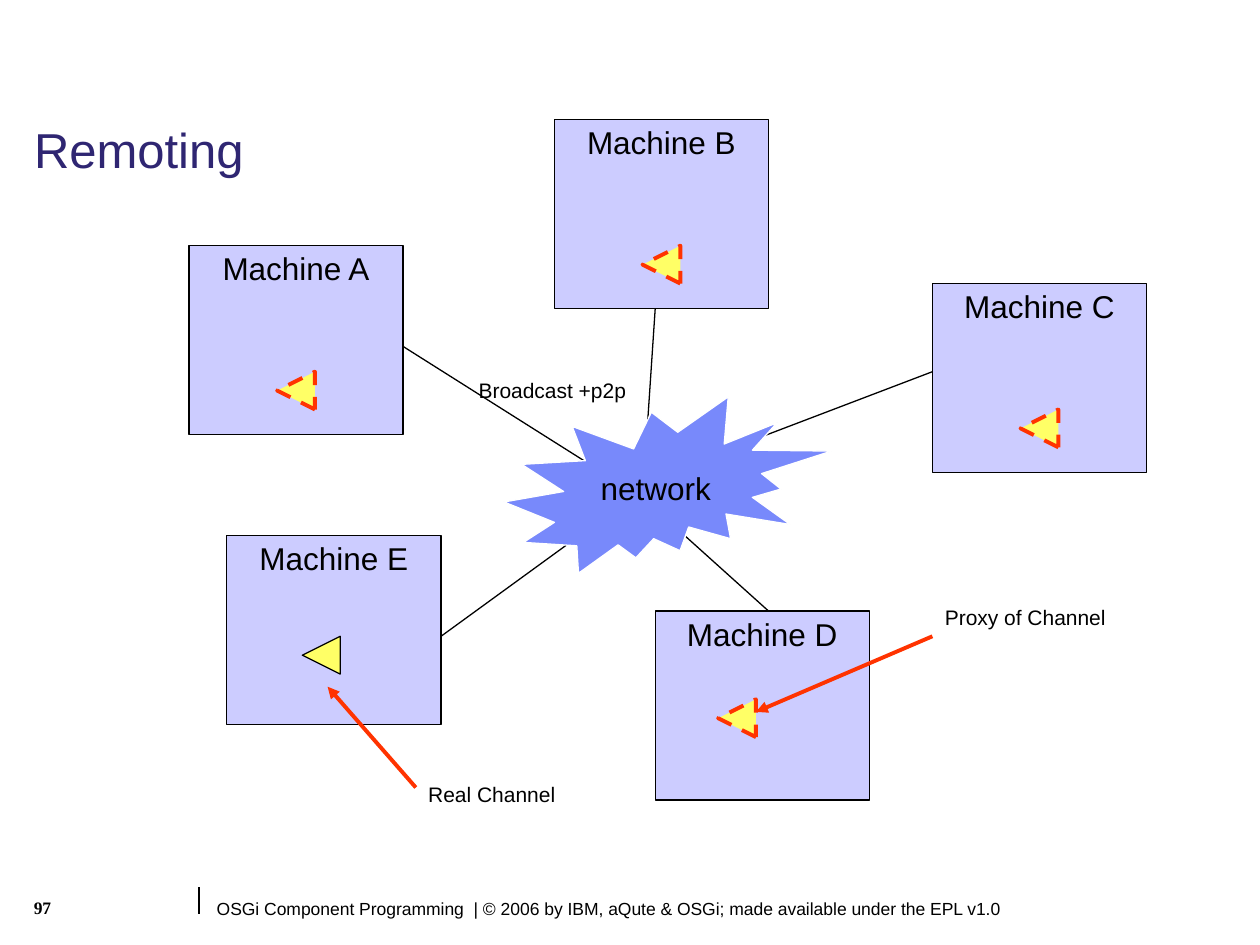
"""Build the Remoting slide: five machines joined by a network, with channel proxies."""
from pptx import Presentation, util as u
from pptx.dml.color import RGBColor
from pptx.enum import dml, shapes, text
from pptx.oxml.ns import qn
from lxml import etree

CELL = 0.1
ROW_START = 0.05


def grid(col, row):
    return u.Inches(CELL * col), u.Inches(ROW_START + CELL * row)


def write(frame, words, size, color="000000", font="Arial", align=text.PP_ALIGN.LEFT):
    frame.text = words
    paragraph = frame.paragraphs[0]
    paragraph.alignment = align
    paragraph.font.size = u.Pt(size)
    paragraph.font.name = font
    paragraph.font.color.rgb = RGBColor.from_string(color)
    return paragraph


deck = Presentation()
deck.slide_width, deck.slide_height = u.Inches(10), u.Inches(7.5)
slide = deck.slides.add_slide(deck.slide_layouts[5])
parts = slide.shapes

title = parts.title
title.left, title.top = u.Inches(0.17), u.Inches(0.95)
title.width, title.height = u.Inches(9.02), u.Inches(0.55)
title.text_frame.auto_size = text.MSO_AUTO_SIZE.NONE
title.text_frame.vertical_anchor = text.MSO_ANCHOR.TOP
write(title.text_frame, "Remoting", 28, "2F2672").line_spacing = 0.9

machines = [("A", 15, 19), ("B", 44, 9), ("E", 18, 42), ("D", 52, 48), ("C", 74, 22)]
real_channel = (24, 50)
proxies = [(51, 19), (81, 32), (22, 29), (57, 55)]
links = [((35, 50), (46, 42)), ((61, 48), (51, 39)), ((53, 37), (74, 29)),
         ((52, 24), (51, 39)), ((32, 27), (51, 39))]
pointers = [((33, 62), (26, 54)), ((74, 50), (60, 56))]

outlined = []
for letter, col, row in machines:
    machine = parts.add_shape(shapes.MSO_SHAPE.RECTANGLE, *grid(col, row), u.Inches(1.7), u.Inches(1.5))
    frame = machine.text_frame
    frame.word_wrap = False
    frame.vertical_anchor = text.MSO_ANCHOR.TOP
    frame.margin_top = u.Inches(0.03)
    write(frame, f"Machine {letter}", 18, align=text.PP_ALIGN.CENTER)
    outlined.append((machine, "CCCCFF", "000000", 0.75))

for place in [real_channel] + proxies:
    channel = parts.add_shape(shapes.MSO_SHAPE.ISOSCELES_TRIANGLE, *grid(*place), u.Inches(0.3), u.Inches(0.3))
    channel.rotation = 270
    if place == real_channel:
        outlined.append((channel, "FFFF66", "000000", 0.75))
    else:
        channel.line.dash_style = dml.MSO_LINE.DASH
        outlined.append((channel, "FFFF66", "FF3300", 2.25))


for start, end in links + pointers:
    is_pointer = (start, end) in pointers
    link = parts.add_connector(shapes.MSO_CONNECTOR.STRAIGHT, *grid(*start), *grid(*end))
    link.line.width = u.Pt(2.25 if is_pointer else 0.75)
    link.line.color.rgb = RGBColor.from_string("FF3300" if is_pointer else "000000")
    if is_pointer:
        etree.SubElement(link.line._get_or_add_ln(), qn("a:tailEnd"), type="triangle")
    etree.SubElement(link._element.spPr, qn("a:effectLst"))

network = parts.add_shape(shapes.MSO_SHAPE.EXPLOSION2, *grid(40, 31), u.Inches(2.6), u.Inches(1.4))
network.text_frame.word_wrap = False
network.text_frame.vertical_anchor = text.MSO_ANCHOR.MIDDLE
write(network.text_frame, "network", 18, align=text.PP_ALIGN.CENTER)
outlined.append((network, "7889FB", "FFFFFF", 0.75))

for part, fill, edge, weight in outlined:
    part.shadow.inherit = False
    part.fill.solid()
    part.fill.fore_color.rgb = RGBColor.from_string(fill)
    part.line.color.rgb = RGBColor.from_string(edge)
    part.line.width = u.Pt(weight)

for words, col, row, width in [("Real Channel", 33, 61, 1.21), ("Proxy of Channel", 74, 47, 1.48),
                               ("Broadcast +p2p", 37, 29, 1.37)]:
    label = parts.add_textbox(*grid(col, row), u.Inches(width), u.Inches(0.3))
    label.text_frame.word_wrap = False
    write(label.text_frame, words, 12)

divider = parts.add_connector(shapes.MSO_CONNECTOR.STRAIGHT, u.Inches(1.58), u.Inches(7.04),
                              u.Inches(1.58), u.Inches(7.25))
divider.line.width = u.Pt(0.75)
divider.line.color.rgb = RGBColor.from_string("000000")
etree.SubElement(divider._element.spPr, qn("a:effectLst"))

footer = parts.add_textbox(u.Inches(1.58), u.Inches(7.08), u.Inches(8.42), u.Inches(0.27))
footer.text_frame.word_wrap = True
footer.text_frame.margin_left = u.Inches(0.14)
write(footer.text_frame, "OSGi Component Programming  | © 2006 by IBM, aQute & OSGi; "
      "made available under the EPL v1.0", 10)

page = parts.add_textbox(u.Inches(0.17), u.Inches(7.07), u.Inches(1.1), u.Inches(0.35))
page.text_frame.word_wrap = True
write(page.text_frame, "97", 10, font="Times New Roman").font.bold = True

deck.save("out.pptx")
